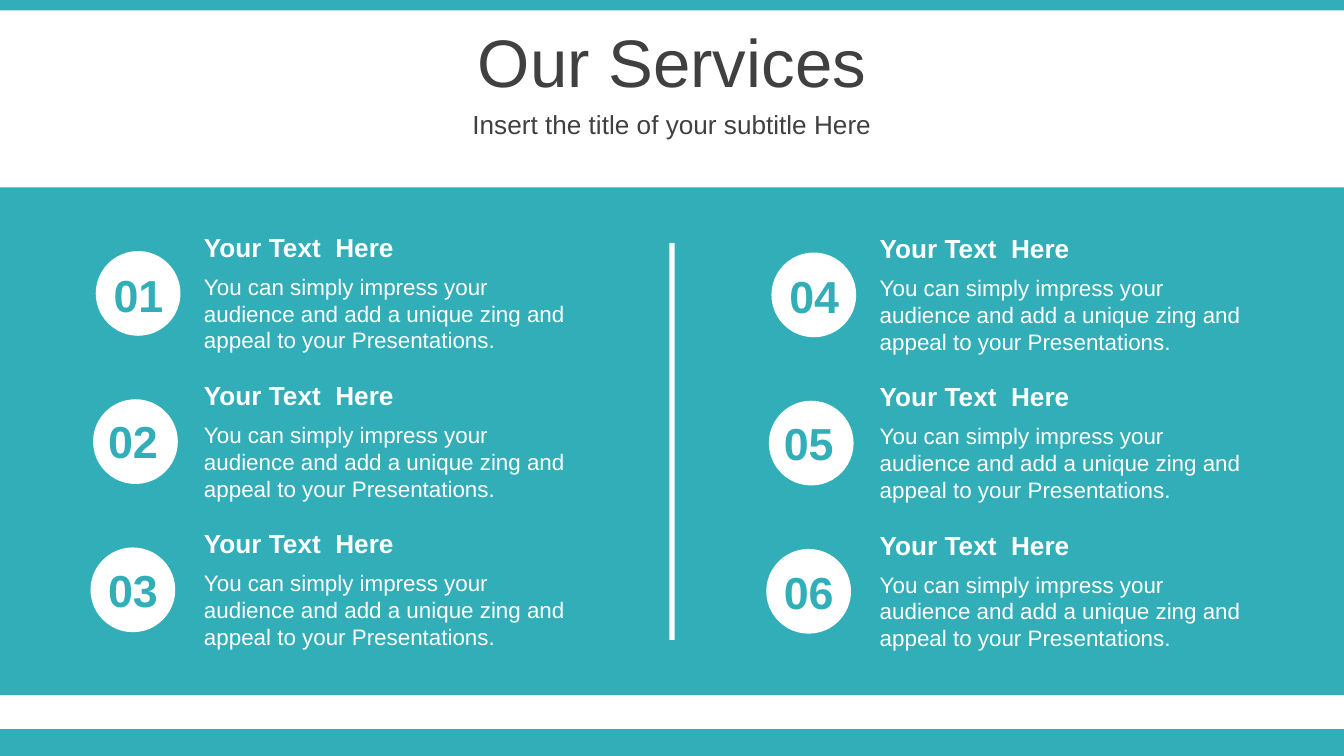
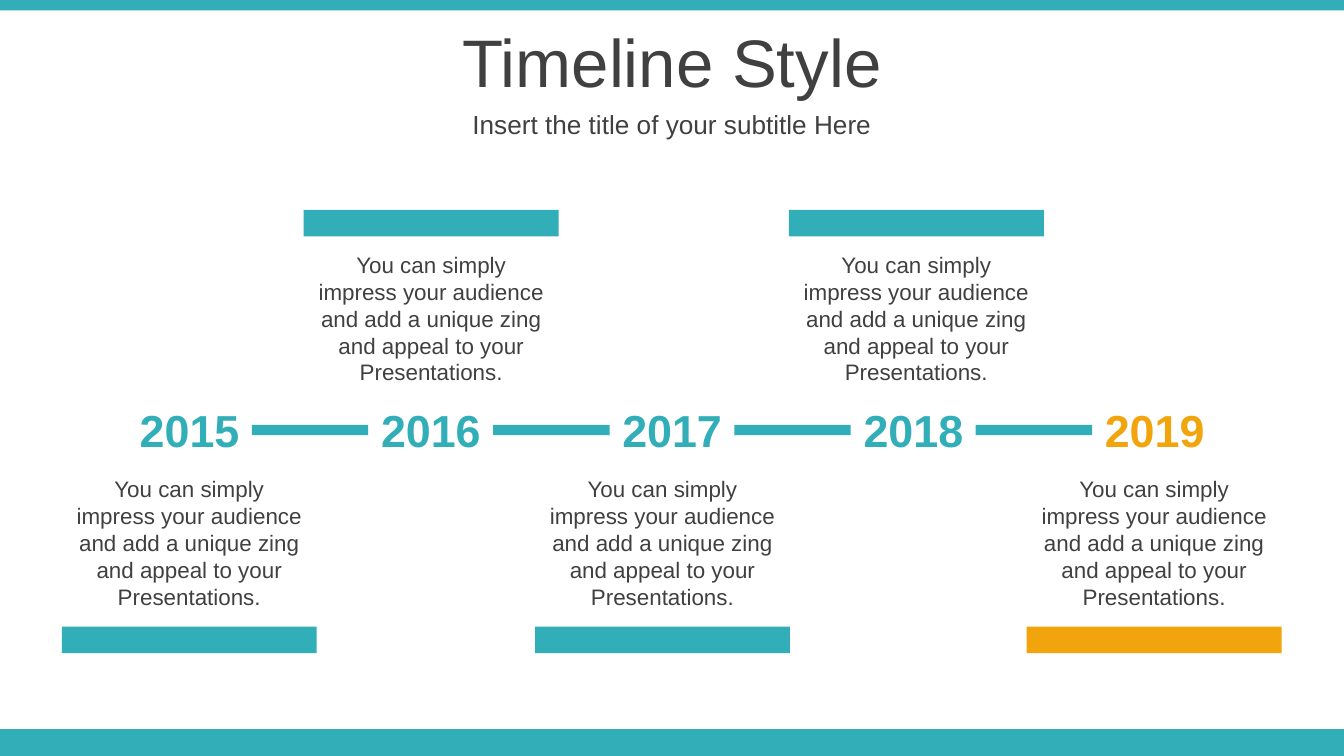
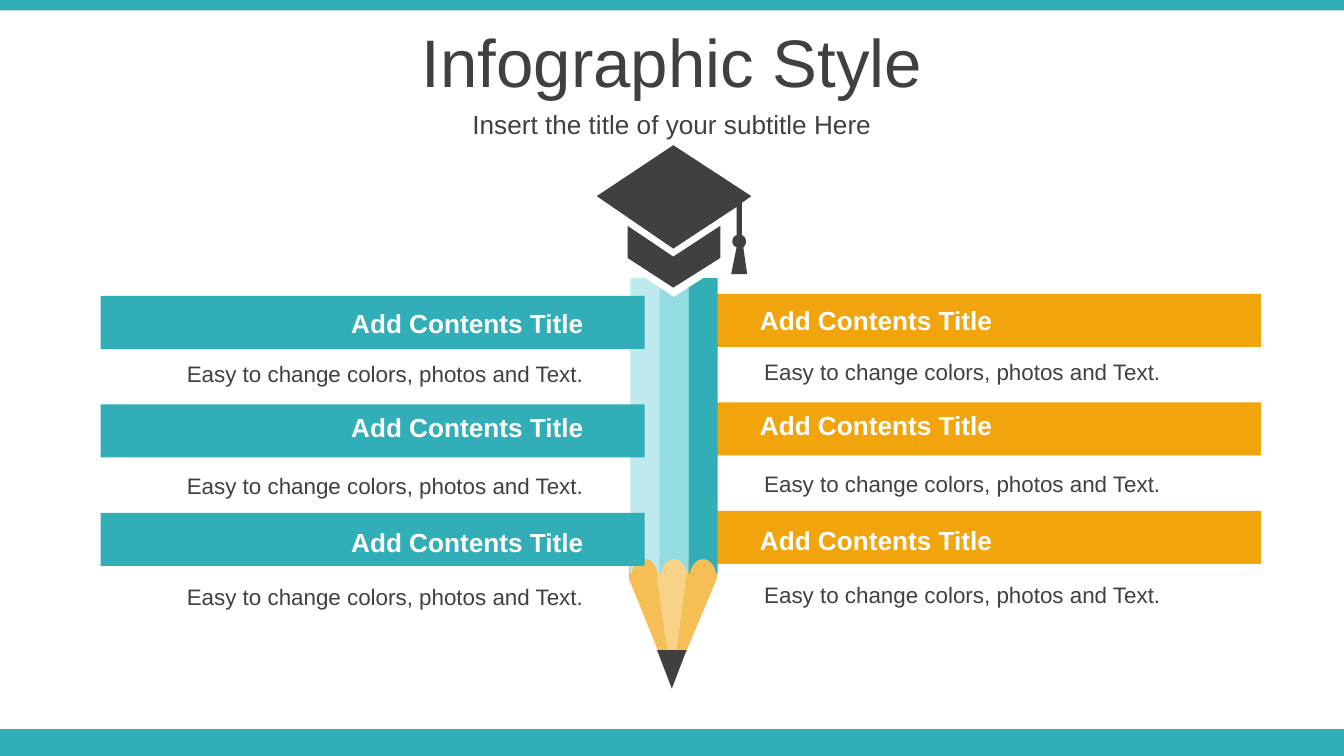
"""Builds three slides: services, timeline and pencil infographic."""
from dataclasses import dataclass

from pptx import Presentation
from pptx.dml.color import RGBColor
from pptx.enum.shapes import MSO_SHAPE
from pptx.enum.text import MSO_ANCHOR, MSO_AUTO_SIZE, PP_ALIGN
from pptx.util import Pt


@dataclass(frozen=True)
class Theme:
    """Colours, font and type sizes shared by all slides."""
    teal: str = "32AEB8"
    teal_light: str = "92DCE2"
    teal_pale: str = "BEEAED"
    orange: str = "F2A40D"
    wood: str = "F6BF56"
    wood_light: str = "F8D286"
    dark: str = "404040"
    white: str = "FFFFFF"
    font: str = "Arial"
    title: int = 36
    number: int = 24
    heading: int = 14
    body: int = 12


THEME = Theme()
WIDTH, HEIGHT = 720, 405
LEFT, CENTER, RIGHT = PP_ALIGN.LEFT, PP_ALIGN.CENTER, PP_ALIGN.RIGHT

# Content
SUBTITLE = "Insert the title of your subtitle Here"
PITCH_TEXT = ("You can simply impress your audience and add a unique zing "
              "and appeal to your Presentations.")
SERVICES = [[(number, "Your Text  Here", PITCH_TEXT) for number in column]
            for column in (("01", "02", "03"), ("04", "05", "06"))]
# Year, card left, card above the line, colour
MILESTONES = [
    ("2015", 33.1, False, THEME.teal),
    ("2016", 162.7, True, THEME.teal),
    ("2017", 286.6, False, THEME.teal),
    ("2018", 422.6, True, THEME.teal),
    ("2019", 550, False, THEME.orange),
]
TOPICS = [("Add Contents Title", "Easy to change colors, photos and Text.")] * 3

# Outlines: a pair is a corner, six numbers are a Bezier curve
WOOD = [(337, 298.8), (384, 299.5), (384, 310.3), (360, 367), (337, 310.3)]
WOOD_CORE = [(352, 298.8), (368, 298.8), (368, 306.7), (360, 367), (352, 309.6)]
STRIPE_ARCH = [(15.6, 307.4), (14.9, 307.4), (14.2, 303.1, 11.5, 299.5, 7.8, 299.5),
               (4.1, 299.5, 1.4, 303.1, 0.6, 307.4), (0, 307.4)]
STRIPES = [
    (THEME.teal_pale, [(0, 149), (8, 149), (15.6, 154.1)]),
    (THEME.teal_light, [(0, 154.1), (7.8, 159.1), (15.6, 154.1)]),
    (THEME.teal, [(0, 154.1), (8, 149), (15.6, 149)]),
]
CAP_BAND = [(336.2, 121), (360.7, 137.5), (385.9, 121),
            (385.9, 138.2), (360.7, 154.1), (336.2, 138.2)]
CAP_BOARD = [
    (360.7, 77.8), (402.5, 105.1), (397.4, 108.7), (397.4, 126),
    (398.9, 126.7, 399.6, 127.4, 399.6, 129.6),
    (399.6, 131, 398.9, 131.8, 398.2, 132.5),
    (400.3, 146.9), (391.7, 146.9), (394.6, 132.5),
    (393.1, 131.8, 392.4, 131, 392.4, 129.6),
    (392.4, 127.4, 393.1, 126.7, 394.6, 126),
    (394.6, 110.9), (360.7, 133.2), (319.7, 105.1),
]


def paint(shape, color):
    """Give a shape a flat fill without line or shadow."""
    shape.shadow.inherit = False
    shape.fill.solid()
    shape.fill.fore_color.rgb = RGBColor.from_string(color)
    shape.line.fill.background()
    return shape


def add_block(page, left, top, width, height, color, kind=MSO_SHAPE.RECTANGLE):
    """Add a flat preset shape."""
    return paint(page.shapes.add_shape(
        kind, Pt(left), Pt(top), Pt(width), Pt(height)), color)


def write(box, text, size, color, align, bold=False):
    """Put one formatted paragraph into a box."""
    box.text_frame.text = text
    paragraph = box.text_frame.paragraphs[0]
    paragraph.alignment = align
    for span in paragraph.runs:
        span.font.name = THEME.font
        span.font.size = Pt(size)
        span.font.bold = bold
        span.font.color.rgb = RGBColor.from_string(color)
    return paragraph


def add_text(page, left, top, width, height, text, size, color,
             align=LEFT, bold=False):
    """Add a wrapping text box that grows with its text."""
    box = page.shapes.add_textbox(Pt(left), Pt(top), Pt(width), Pt(height))
    box.text_frame.word_wrap = True
    box.text_frame.auto_size = MSO_AUTO_SIZE.SHAPE_TO_FIT_TEXT
    write(box, text, size, color, align, bold)


def flatten(outline):
    """Turn corners and Bezier curves into a list of points."""
    points = []
    for step in outline:
        if len(step) == 2:
            points.append(step)
            continue
        start, steps = points[-1], 8
        first, second, end = step[:2], step[2:4], step[4:]
        for index in range(1, steps + 1):
            t = index / steps
            u = 1 - t
            points.append(tuple(
                u**3 * a + 3 * u * u * t * b + 3 * u * t * t * c + t**3 * d
                for a, b, c, d in zip(start, first, second, end)))
    return points


def add_outline(page, color, *outlines):
    """Add one freeform made of closed outlines."""
    builder = None
    for outline in outlines:
        start, *rest = [(Pt(x), Pt(y)) for x, y in flatten(outline)]
        if builder is None:
            builder = page.shapes.build_freeform(*start, scale=1.0)
        else:
            builder.move_to(*start)
        builder.add_line_segments(rest, close=True)
    paint(builder.convert_to_shape(), color)


def add_bands(page):
    """Draw the top and bottom bands and move them to the shared layout."""
    tree = page.slide_layout.shapes.element
    for number, (top, height) in enumerate([(0, 5.6), (390.6, 14.4)]):
        band = add_block(page, 0, top, WIDTH, height, THEME.teal)
        band.element.nvSpPr.cNvPr.id = 20 + number
        tree.insert(2, band.element)


def add_page(deck, title):
    """Add a slide with its title and subtitle."""
    page = deck.slides.add_slide(deck.slide_layouts[0])
    rows = [(title, THEME.title, 10, 45.4), (SUBTITLE, THEME.heading, 55.4, 22.3)]
    for box, (text, size, top, height) in zip(page.placeholders, rows):
        box.left, box.top = Pt(0), Pt(top)
        box.width, box.height = Pt(WIDTH), Pt(height)
        write(box, text, size, THEME.dark, CENTER).space_before = Pt(size * 0.2)
        box.text_frame.auto_size = MSO_AUTO_SIZE.NONE
        box.text_frame.vertical_anchor = MSO_ANCHOR.MIDDLE
    return page


def build_services(page):
    """Fill the panel with two columns of numbered services."""
    add_block(page, 0, 100.4, WIDTH, 272, THEME.teal)
    add_block(page, 358.6, 130.3, 2.9, 212.6, THEME.white)
    number_places = [(49, 139.7), (46.1, 218.2), (46.1, 298.1)]
    for column, services in enumerate(SERVICES):
        x, drop = 362 * column, 0.8 * column
        for row, (number, heading, text) in enumerate(services):
            y = drop + 79.4 * row
            add_block(page, x + 51.3 - 1.4 * row, y + 134.5, 45.4, 45.4,
                      THEME.white, MSO_SHAPE.OVAL)
            add_text(page, x + 102.2, y + 142.6, 209.5, 51, text,
                     THEME.body, THEME.white)
            add_text(page, x + 102.2, y + 120.3, 209.5, 24.2, heading,
                     THEME.heading, THEME.white, bold=True)
            left, top = number_places[row]
            add_text(page, x + left, drop + top, 50.4, 36, number,
                     THEME.number, THEME.teal, CENTER, True)


def build_timeline(page):
    """Set years on a line with cards above and below in turn."""
    pitch, card_width = 129.25, 136.6
    for index, (year, left, above, color) in enumerate(MILESTONES):
        add_text(page, 65.2 + pitch * index, 212.4, 72.7, 36, year,
                 THEME.number, color, CENTER, True)
        if index < len(MILESTONES) - 1:
            add_block(page, 134.9 + pitch * index, 227.6, 62.4, 5.6, THEME.teal)
        text_top, bar_top = (131, 112.4) if above else (251.2, 335.7)
        add_text(page, left, text_top, card_width, 80, PITCH_TEXT,
                 THEME.body, THEME.dark, CENTER)
        add_block(page, left, bar_top, card_width, 14.2, color)


def add_pencil(page):
    """Draw the pencil with its graduation cap."""
    add_outline(page, THEME.wood, WOOD)
    add_outline(page, THEME.wood_light, WOOD_CORE)
    for index, (color, top_edge) in enumerate(STRIPES):
        shift = 337.7 + 15.6 * index
        stripe = [tuple(value + shift * (place % 2 == 0)
                        for place, value in enumerate(step))
                  for step in top_edge + STRIPE_ARCH]
        add_outline(page, color, stripe)
    tip = add_block(page, 352, 348.3, 15.8, 20.6, THEME.dark,
                    MSO_SHAPE.ISOSCELES_TRIANGLE)
    tip.rotation = 180
    add_outline(page, THEME.dark, CAP_BAND, CAP_BOARD)


def add_topics(page, color, align, bar_left, title_left, detail_left, drop):
    """Add one side of bars, each with a title and a detail line."""
    title_tops = (159.8, 216, 277.3)
    for row, (title, detail) in enumerate(TOPICS):
        add_block(page, bar_left, 157.5 + drop + 58.1 * row, 291.5, 28.4, color)
        add_text(page, title_left, title_tops[row] + drop, 186.5, 24.2, title,
                 THEME.heading, THEME.white, align, True)
        add_text(page, detail_left, 188.5 + drop + 59.7 * row, 257.8, 21.8, detail,
                 THEME.body, THEME.dark, align)


def build_infographic(page):
    """Place the pencil between two sides of topics."""
    add_topics(page, THEME.orange, LEFT, 384, 400, 402.3, 0)
    add_pencil(page)
    add_topics(page, THEME.teal, RIGHT, 53.9, 133.2, 61.9, 1.1)


def main():
    """Build and save the deck."""
    deck = Presentation()
    deck.slide_width, deck.slide_height = Pt(WIDTH), Pt(HEIGHT)
    builders = [("Our Services", build_services),
                ("Timeline Style", build_timeline),
                ("Infographic Style", build_infographic)]
    for title, build in builders:
        build(add_page(deck, title))
    add_bands(deck.slides[0])
    deck.save("out.pptx")


main()
